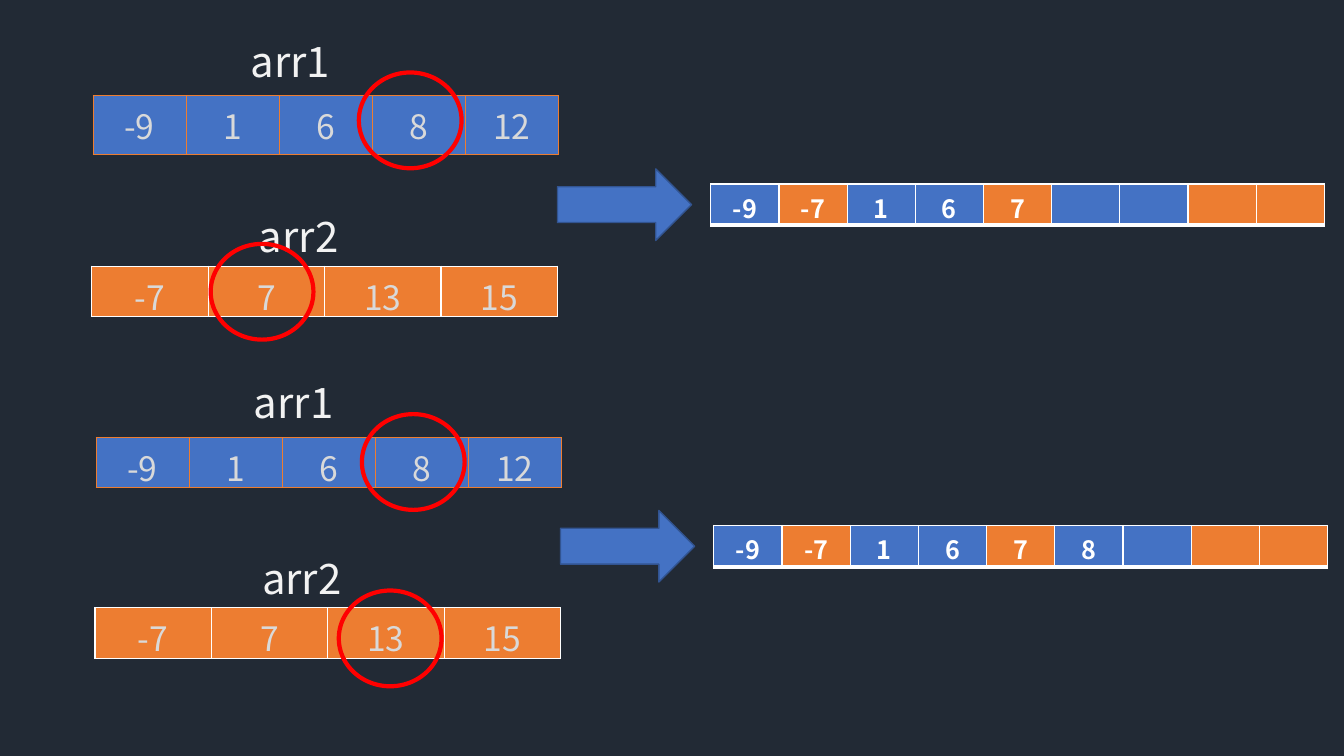
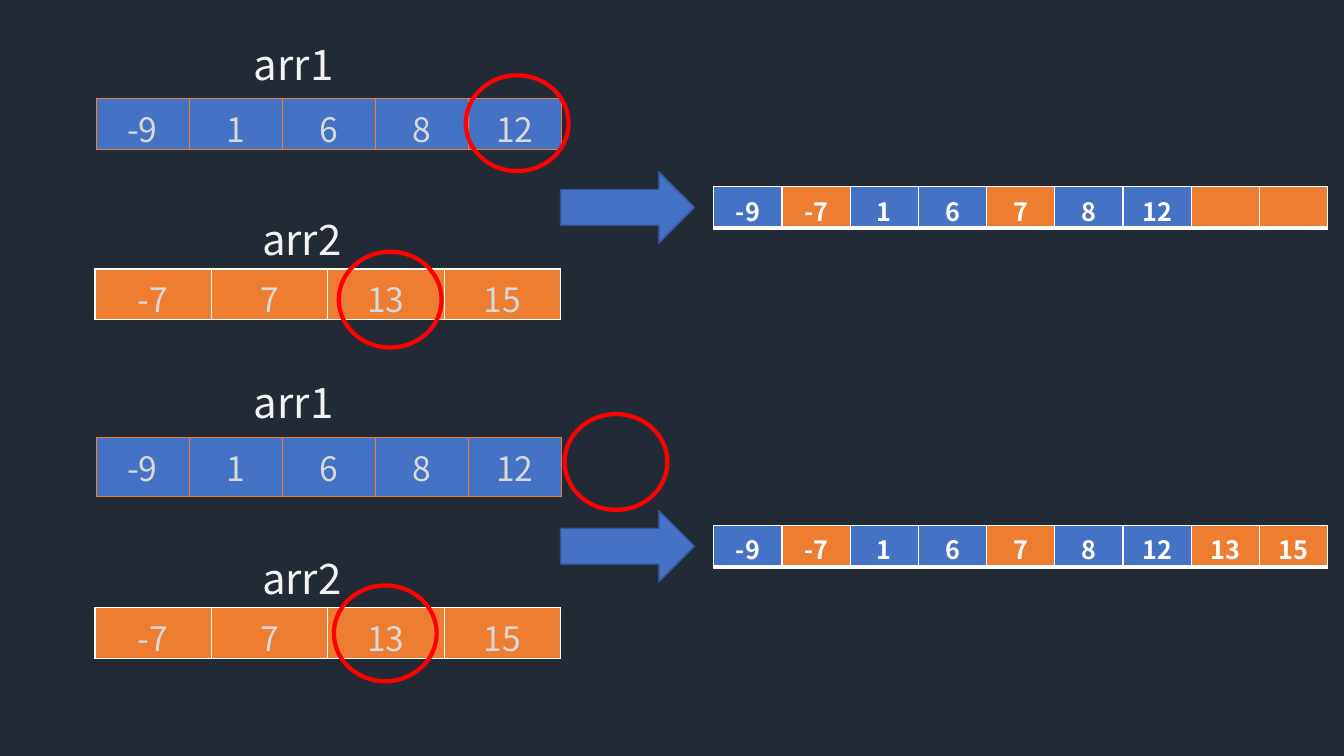
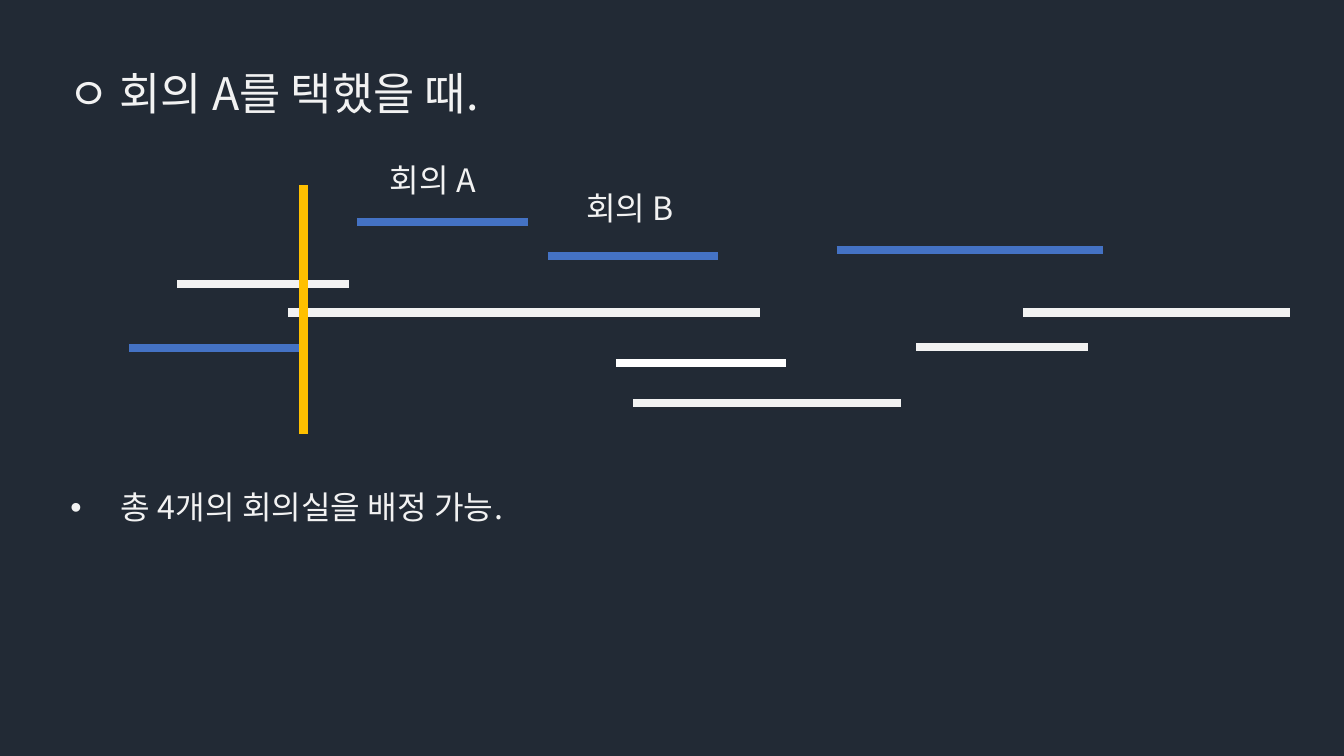
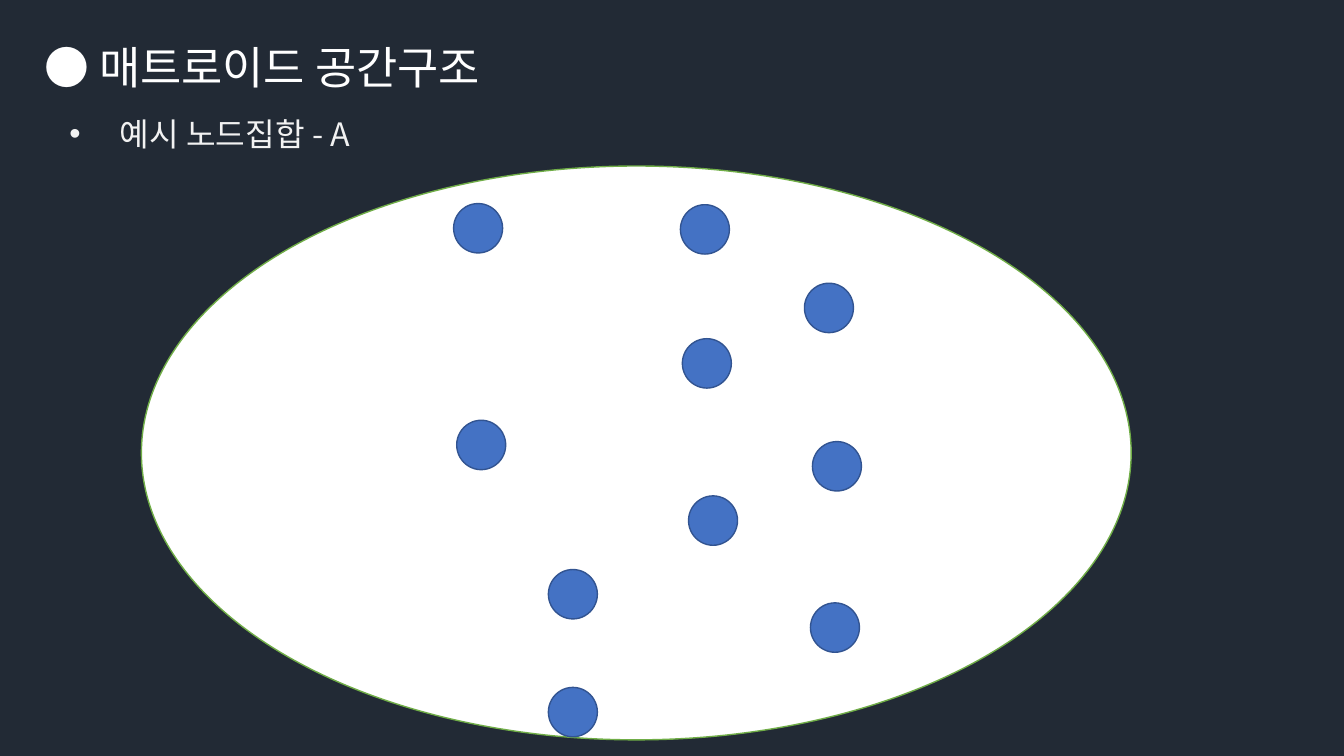
from dataclasses import dataclass

from lxml.etree import SubElement
from pptx import Presentation
from pptx.dml.color import RGBColor
from pptx.enum.shapes import MSO_CONNECTOR, MSO_SHAPE
from pptx.enum.text import MSO_ANCHOR, MSO_AUTO_SIZE, PP_ALIGN
from pptx.oxml.ns import qn
from pptx.util import Pt


@dataclass(frozen=True)
class Theme:
    font: str = "Noto Sans CJK KR"
    background: str = "222A35"
    blue: str = "4472C4"
    blue_edge: str = "325491"
    orange: str = "ED7D31"
    green: str = "70AD47"
    gold: str = "FFC000"
    red: str = "FF0000"
    white: str = "FFFFFF"
    pale: str = "F2F2F2"
    grey: str = "D9D9D9"
    title: float = 32
    label: float = 30
    value: float = 24
    body: float = 23
    result: float = 18


THEME = Theme()


class Deck:
    """Holds the style, the presentation and the current page."""

    def __init__(self, theme):
        self.theme = theme
        self.deck = Presentation()
        self.deck.slide_width, self.deck.slide_height = Pt(960), Pt(540)
        self.paint(self.deck.slide_master.background.fill, theme.background)
        self.page = None

    def new_page(self):
        self.page = self.deck.slides.add_slide(self.deck.slide_layouts[6])

    @staticmethod
    def paint(fill, color):
        if color is None:
            fill.background()
        else:
            fill.solid()
            fill.fore_color.rgb = RGBColor.from_string(color)

    def add_span(self, para, text, size, color, bold=False):
        span = para.add_run()
        span.text = text
        span.font.size = Pt(size)
        span.font.bold = bold
        span.font.name = self.theme.font
        span.font.color.rgb = RGBColor.from_string(color)
        east_asian = SubElement(span.font._element, qn("a:ea"))
        east_asian.set("typeface", self.theme.font)

    def text(self, left, top, width, height, text, size, color=THEME.pale, bullet=False):
        box = self.page.shapes.add_textbox(Pt(left), Pt(top), Pt(width), Pt(height))
        frame = box.text_frame
        frame.word_wrap = True
        frame.auto_size = MSO_AUTO_SIZE.SHAPE_TO_FIT_TEXT
        para = frame.paragraphs[0]
        if bullet:
            properties = para._p.get_or_add_pPr()
            properties.set("marL", str(Pt(36)))
            properties.set("indent", str(-Pt(36)))
            SubElement(properties, qn("a:buFont")).set("typeface", "Arial")
            SubElement(properties, qn("a:buChar")).set("char", "•")
        self.add_span(para, text, size, color)

    def shape(self, kind, left, top, width, height, fill, edge, weight=1):
        shape = self.page.shapes.add_shape(kind, Pt(left), Pt(top), Pt(width), Pt(height))
        shape.shadow.inherit = False
        self.paint(shape.fill, fill)
        self.paint(shape.line.fill, edge)
        shape.line.width = Pt(weight)

    def line(self, x1, y1, x2, y2, color, weight=6):
        line = self.page.shapes.add_connector(
            MSO_CONNECTOR.STRAIGHT, Pt(x1), Pt(y1), Pt(x2), Pt(y2))
        self.paint(line.line.fill, color)
        line.line.width = Pt(weight)
        SubElement(line._element.spPr, qn("a:effectLst"))

    def border(self, cell, color, weight, bottom):
        properties = cell._tc.get_or_add_tcPr()
        for index, side in enumerate(("lnL", "lnR", "lnT", "lnB")):
            edge = properties.makeelement(qn(f"a:{side}"), {})
            edge.set("w", str(Pt(bottom if side == "lnB" else weight)))
            solid = SubElement(edge, qn("a:solidFill"))
            SubElement(solid, qn("a:srgbClr")).set("val", color)
            properties.insert(index, edge)

    def array(self, left, top, width, height, values, fills, size, color, edge,
              weight=1, bottom=None, bold=False, anchor=MSO_ANCHOR.MIDDLE):
        """One-row table with a value and a fill for each cell."""
        count = len(values)
        table = self.page.shapes.add_table(
            1, count, Pt(left), Pt(top), Pt(width), Pt(height)).table
        table.first_row = table.horz_banding = False
        for column, cell, value, fill in zip(table.columns, table.rows[0].cells, values, fills):
            column.width = Pt(width / count)
            self.paint(cell.fill, fill)
            self.border(cell, edge, weight, bottom or weight)
            cell.vertical_anchor = anchor
            para = cell.text_frame.paragraphs[0]
            para.alignment = PP_ALIGN.CENTER
            if value:
                self.add_span(para, value, size, color, bold)
            else:
                para.font.size = Pt(size)

    def merge_step(self, left, top, height, merged, *pointers):
        """Two sorted arrays, the merged array so far, and the two pointers."""
        theme = self.theme
        self.array(left, top, 332.6, height, ARR1, [theme.blue] * len(ARR1),
                   theme.value, theme.grey, theme.orange, 0.5)
        self.text(left + 105.8, top - 46.8, 120.2, 43.9, "arr1", theme.label)
        self.array(left - 0.7, top + 121.7, 332.6, 36, ARR2, [theme.orange] * len(ARR2),
                   theme.value, theme.grey, theme.white)
        self.text(left + 111.6, top + 78.5, 121.7, 43.9, "arr2", theme.label)
        self.shape(MSO_SHAPE.RIGHT_ARROW, left + 331.9, top + 52.2, 95.8, 51.1,
                   theme.blue, theme.blue_edge)
        values = MERGED[:merged] + [""] * (len(MERGED) - merged)
        fills = [theme.blue if value in ARR1 else theme.orange for value in MERGED]
        self.array(left + 441.4, top + 63, 438.5, 29.5, values, fills, theme.result,
                   theme.white, theme.white, bottom=3, bold=True, anchor=MSO_ANCHOR.TOP)
        for x, y in pointers:
            self.shape(MSO_SHAPE.OVAL, left + x, top + y, 73.4, 68.4, None, theme.red, 3)


# Content
ARR1 = ["-9", "1", "6", "8", "12"]
ARR2 = ["-7", "7", "13", "15"]
MERGED = sorted(ARR1 + ARR2, key=int)

# Meetings as start, end, height on the page, colour
MEETINGS = [
    (92.2, 213.8, 248.4, THEME.blue), (126.7, 249.1, 203, THEME.pale),
    (205.9, 542.9, 223.2, THEME.pale), (254.9, 377.3, 158.4, THEME.blue),
    (391.7, 512.6, 182.9, THEME.blue), (439.9, 561.6, 259.2, THEME.white),
    (452.2, 643.7, 288, THEME.pale), (730.8, 921.6, 223.2, THEME.pale),
    (597.6, 787.7, 178.6, THEME.blue), (654.5, 776.9, 247.7, THEME.pale),
]
NODES = [(324, 145.4), (486, 146.2), (574.6, 202.3), (487.4, 241.9), (326.2, 300.2),
         (580.3, 315.4), (491.8, 354.2), (391.7, 406.8), (391.7, 491), (578.9, 430.6)]


def main():
    show = Deck(THEME)

    # Merging, steps five and six
    show.new_page()
    show.merge_step(66.3, 68.4, 42, 5, (190, -16.6), (84.2, 105.8))
    show.merge_step(68.5, 312.4, 36, 6, (190, -16.6), (173.5, 109.4))

    # Merging, last steps
    show.new_page()
    show.merge_step(68.5, 70.4, 36, 7, (264.2, -16.6), (173.5, 109.4))
    show.merge_step(68.5, 312.4, 42, 9, (334.8, -16.6), (170, 105.8))

    # Meeting schedule
    show.new_page()
    show.text(41.8, 43.2, 838.8, 46, "ㅇ 회의 A를 택했을 때.", THEME.title)
    for start, end, y, color in MEETINGS:
        show.line(start, y, end, y, color)
    show.line(216.7, 132.5, 216.7, 310.3, THEME.gold)
    show.text(271.4, 110.9, 89.3, 35.3, "회의 A", THEME.body)
    show.text(411.8, 131, 89.3, 35.3, "회의 B", THEME.body)
    show.text(43.2, 344.9, 838.8, 35.3, "총 4개의 회의실을 배정 가능.", THEME.body, bullet=True)

    # Matroid node set
    show.new_page()
    show.shape(MSO_SHAPE.OVAL, 101, 118.6, 707, 409.9, THEME.white, THEME.green)
    show.text(24.5, 24.5, 567.4, 46, "● 매트로이드 공간구조", THEME.title, THEME.white)
    show.text(42.5, 77.8, 838.8, 35.3, "예시 노드집합 - A", THEME.body, bullet=True)
    for x, y in NODES:
        show.shape(MSO_SHAPE.OVAL, x, y, 35, 35.3, THEME.blue, THEME.blue_edge)

    show.deck.save("out.pptx")


if __name__ == "__main__":
    main()
